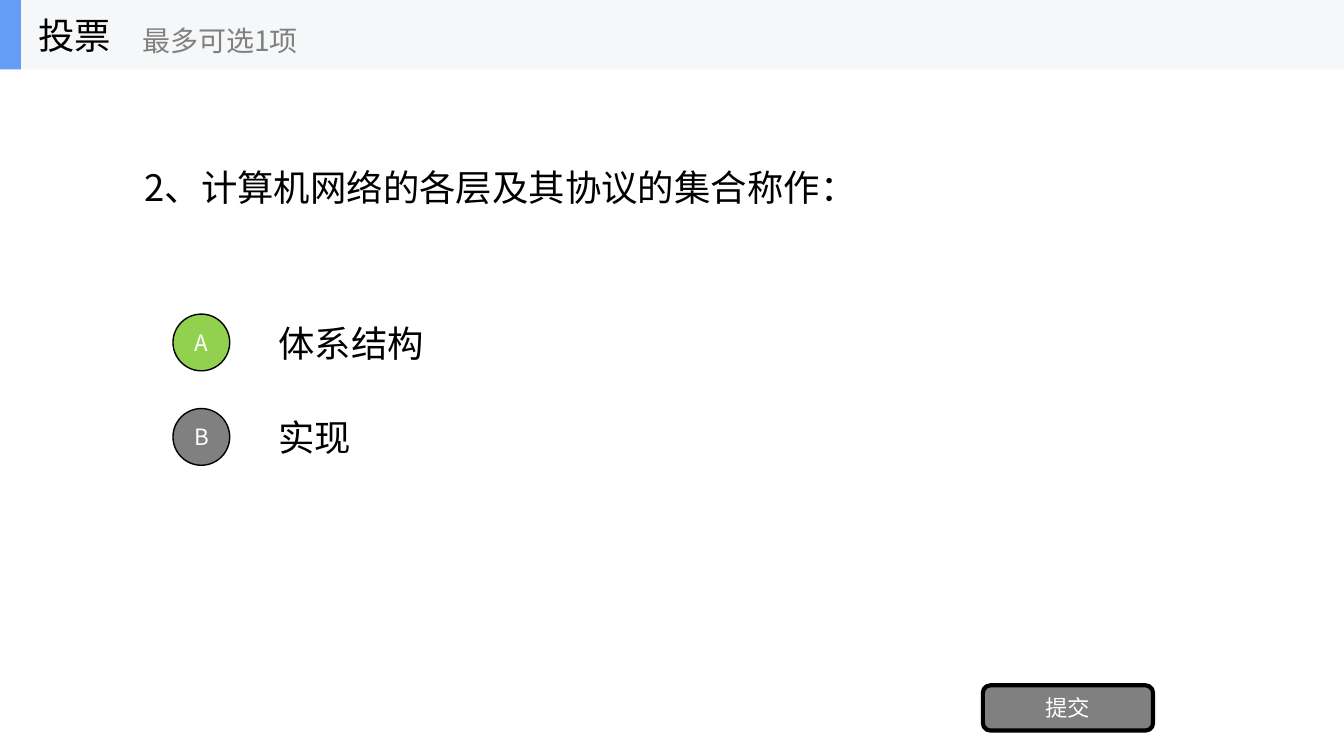
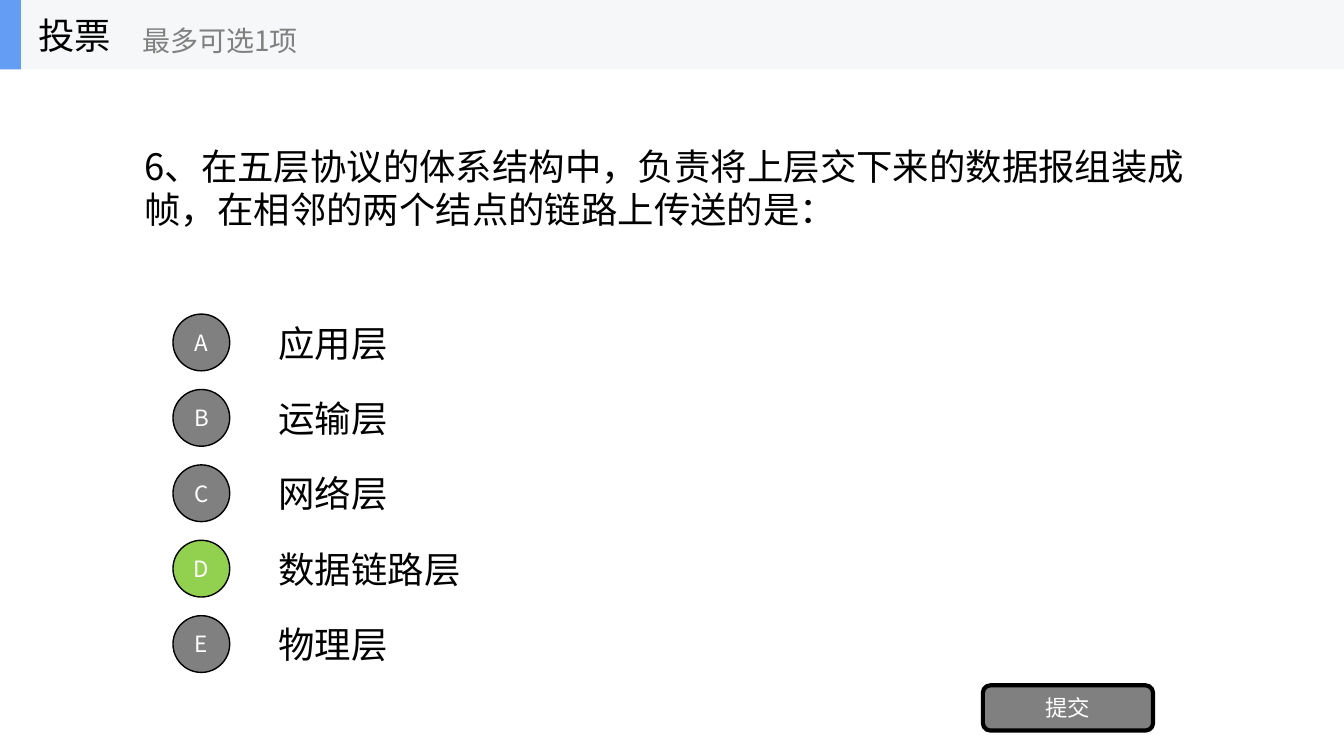
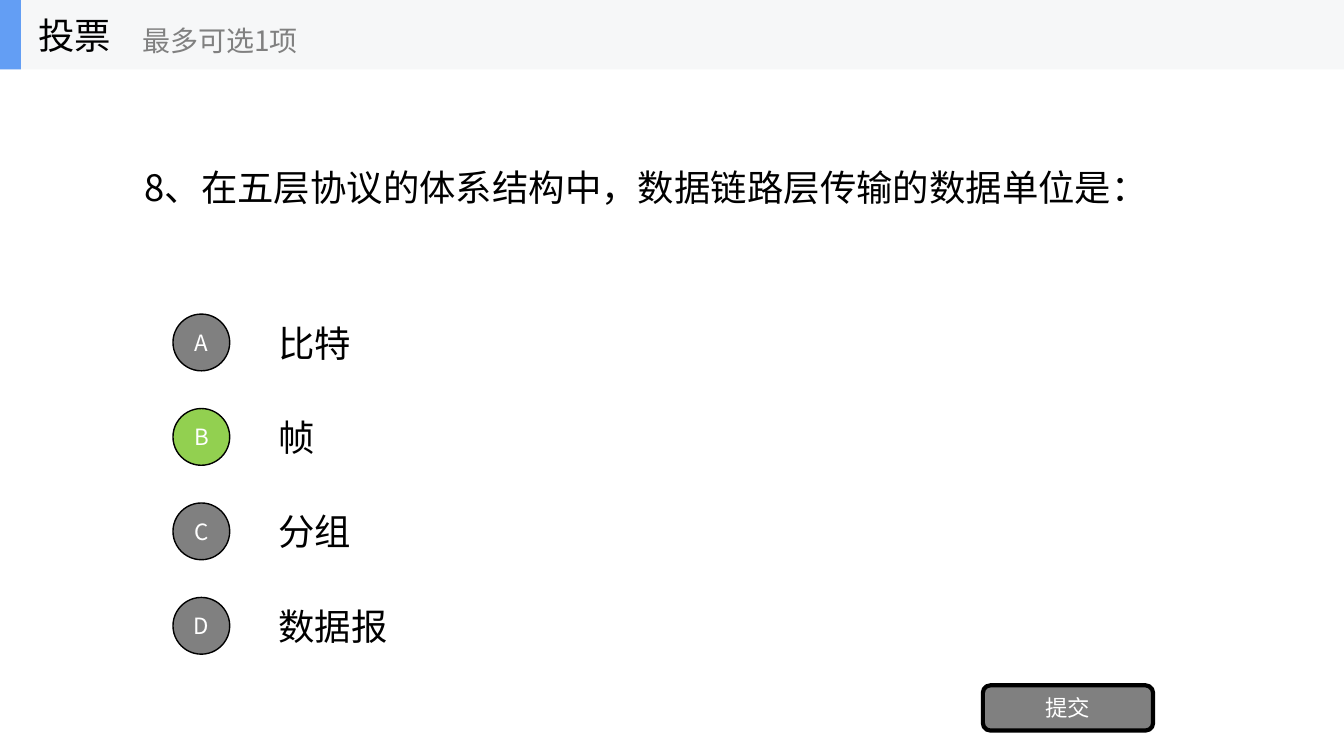
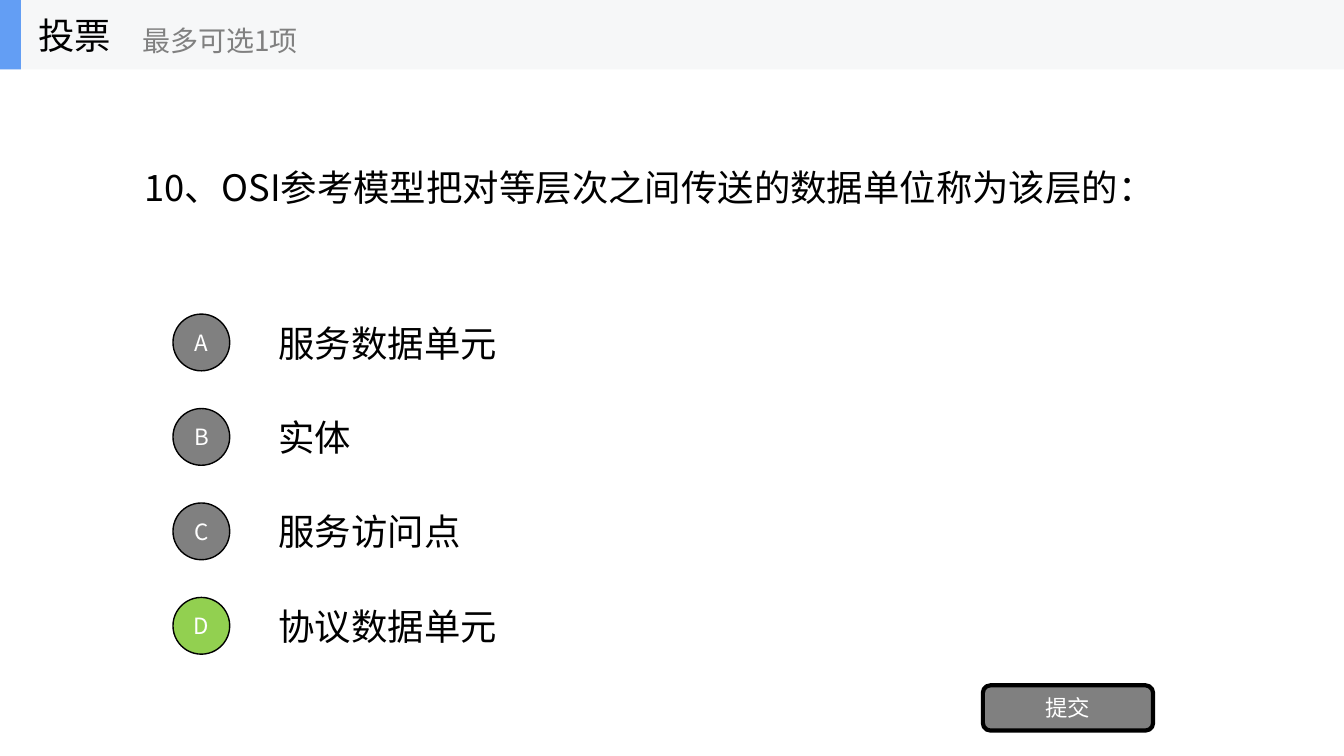
from lxml import etree
from pptx import Presentation
from pptx.dml.color import RGBColor
from pptx.enum import shapes, text
from pptx.oxml import ns
from pptx.util import Cm, Pt

FONT = "Noto Sans CJK SC"
BLACK = RGBColor(0x00, 0x00, 0x00)
WHITE = RGBColor(0xFF, 0xFF, 0xFF)
GRAY = RGBColor(0x80, 0x80, 0x80)
GREEN = RGBColor(0x92, 0xD0, 0x50)
BLUE = RGBColor(0x63, 0x9E, 0xF4)
BAND = RGBColor(0xF6, 0xF7, 0xF8)

WIDTH, HEIGHT = Cm(33.87), Cm(19.05)
BAND_H = Cm(1.75)
OPTION_TOP, OPTION_H = Cm(7.74), Cm(1.78)
CIRCLE = Cm(1.43)

# question, options, letter of the right answer
POLLS = [
    ("2、计算机网络的各层及其协议的集合称作：", ["体系结构", "实现"], "A"),
    ("6、在五层协议的体系结构中，负责将上层交下来的数据报组装成帧，在相邻的两个结点的链路上传送的是：",
     ["应用层", "运输层", "网络层", "数据链路层", "物理层"], "D"),
    ("8、在五层协议的体系结构中，数据链路层传输的数据单位是：",
     ["比特", "帧", "分组", "数据报"], "B"),
    ("10、OSI参考模型把对等层次之间传送的数据单位称为该层的：",
     ["服务数据单元", "实体", "服务访问点", "协议数据单元"], "D"),
]


def add_text(s, words, x, y, w, h, size=26, color=BLACK, sp=None):
    """Write one middle-anchored paragraph into sp, or into a new text box."""
    tf = (sp or s.shapes.add_textbox(x, y, w, h)).text_frame
    tf.word_wrap = True
    tf.vertical_anchor = text.MSO_ANCHOR.MIDDLE
    p = tf.paragraphs[0]
    p.text = words
    p.alignment = text.PP_ALIGN.CENTER if sp else text.PP_ALIGN.LEFT
    p.font.size = Pt(size)
    p.font.color.rgb = color
    p.font.name = FONT
    east_asian = etree.SubElement(p._p.pPr.get_or_add_defRPr(), ns.qn("a:ea"))
    east_asian.set("typeface", FONT)
    if sp:
        tf.margin_left = tf.margin_right = tf.margin_top = tf.margin_bottom = 0


def add_shape(s, kind, x, y, w, h, fill, line=0, words=""):
    sp = s.shapes.add_shape(kind, x, y, w, h)
    sp.shadow.inherit = False
    sp.fill.solid()
    sp.fill.fore_color.rgb = fill
    if line:
        sp.line.color.rgb = BLACK
        sp.line.width = Pt(line)
    else:
        sp.line.fill.background()
    if words:
        add_text(s, words, x, y, w, h, 16, WHITE, sp)


prs = Presentation()
prs.slide_width, prs.slide_height = WIDTH, HEIGHT
kinds = shapes.MSO_SHAPE

for question, options, answer in POLLS:
    s = prs.slides.add_slide(prs.slide_layouts[6])

    add_shape(s, kinds.RECTANGLE, 0, 0, WIDTH, BAND_H, BAND)
    add_shape(s, kinds.RECTANGLE, 0, 0, Cm(0.53), BAND_H, BLUE)
    add_text(s, "投票", Cm(0.71), 0, Cm(5.28), BAND_H)
    add_text(s, "最多可选1项", Cm(3.33), Cm(0.3), Cm(6.35), Cm(1.43), 20, GRAY)

    add_text(s, question, Cm(3.39), BAND_H, Cm(27.1), Cm(5.94))

    step = Cm(1.9) if len(options) > 4 else Cm(2.38)
    for i, (letter, option) in enumerate(zip("ABCDE", options)):
        y = OPTION_TOP + i * step
        add_text(s, option, Cm(6.77), y, Cm(23.71), OPTION_H)
        add_shape(s, kinds.OVAL, Cm(4.36), y + (OPTION_H - CIRCLE) // 2, CIRCLE, CIRCLE,
                  GREEN if letter == answer else GRAY, 1, letter)

    add_shape(s, kinds.ROUNDED_RECTANGLE, Cm(24.77), Cm(17.27), Cm(4.29), Cm(1.14),
              GRAY, 3, "提交")

prs.save("out.pptx")
